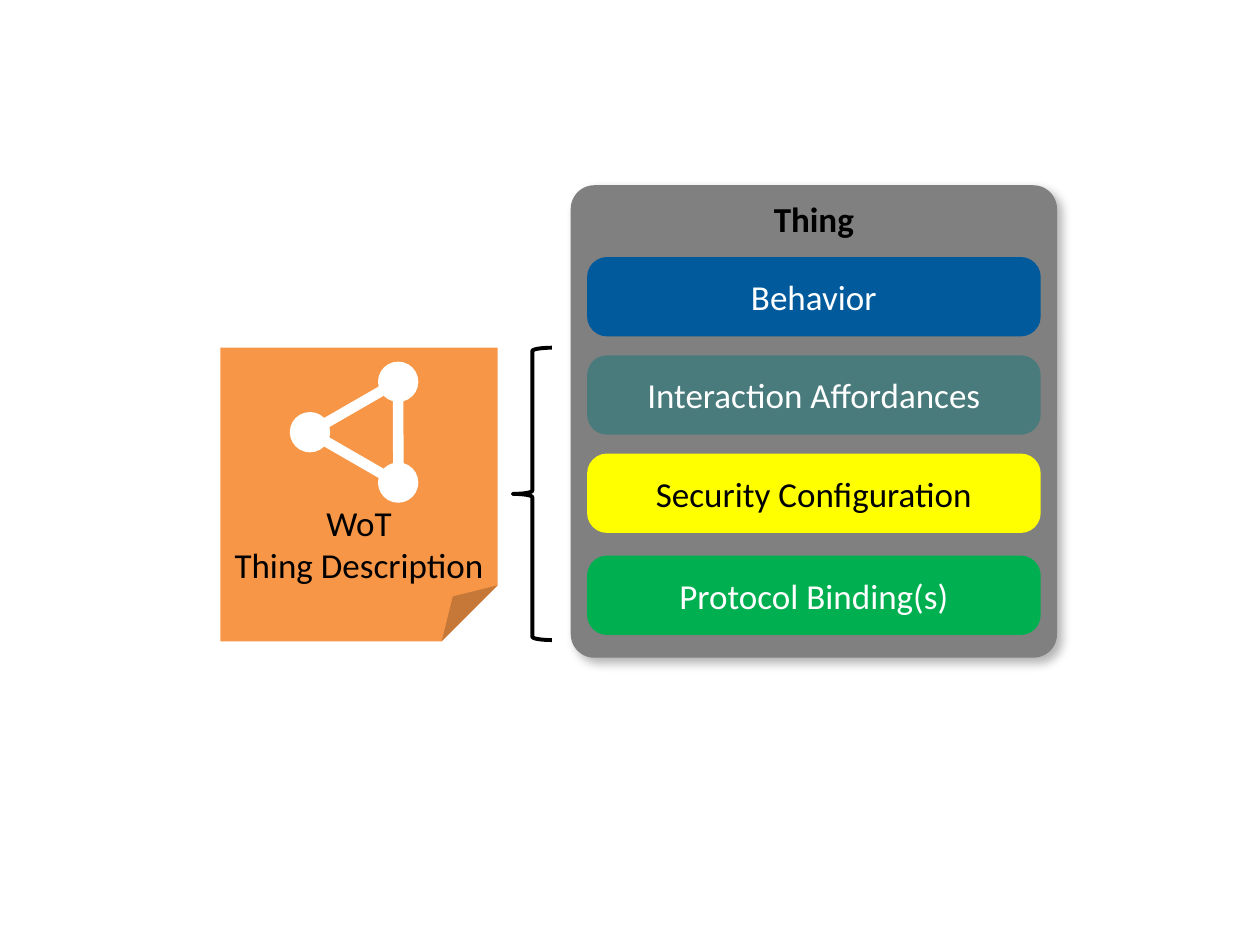
"""Build a slide relating a WoT Thing Description to the parts of a Thing."""
import lxml.etree
import pptx
import pptx.dml.color
import pptx.enum.shapes
import pptx.enum.text
import pptx.oxml
import pptx.oxml.ns
import pptx.util

RGBColor = pptx.dml.color.RGBColor
Inches = pptx.util.Inches
SHAPE = pptx.enum.shapes.MSO_SHAPE
ANCHOR = pptx.enum.text.MSO_ANCHOR
qn = pptx.oxml.ns.qn

BLACK = RGBColor(0x00, 0x00, 0x00)
WHITE = RGBColor(0xFF, 0xFF, 0xFF)
GRAY = RGBColor(0x80, 0x80, 0x80)
BLUE = RGBColor(0x00, 0x5A, 0x9C)
TEAL = RGBColor(0x4A, 0x7B, 0x7C)
YELLOW = RGBColor(0xFF, 0xFF, 0x00)
GREEN = RGBColor(0x00, 0xB0, 0x50)
ORANGE = RGBColor(0xF7, 0x96, 0x46)

THING = "Thing"
DESCRIPTION = ["WoT", "Thing Description"]
LAYERS = [
    ("Behavior", BLUE, WHITE, 2.04),
    ("Interaction Affordances", TEAL, WHITE, 2.82),
    ("Security Configuration", YELLOW, BLACK, 3.6),
    ("Protocol Binding(s)", GREEN, WHITE, 4.41),
]
PANEL = (4.53, 1.47, 3.86, 3.75)
LAYER_LEFT, LAYER_WIDTH, LAYER_HEIGHT = 4.66, 3.6, 0.63
NOTE = (1.75, 2.76, 2.2, 2.33)
TRIANGLE = (2.58, 2.98, 0.81, 0.7)
NODE_CENTERS = [(3.16, 3.03), (2.46, 3.43), (3.16, 3.83)]
NODE_SIZE = 0.32
BRACE = (4.07, 2.76, 0.31, 2.32)

SHADOW = (
    '<a:effectLst xmlns:a="http://schemas.openxmlformats.org/drawingml/2006/main">'
    '<a:outerShdw blurRad="76200" dist="50800" dir="2700000" algn="tl" rotWithShape="0">'
    '<a:srgbClr val="000000"><a:alpha val="30000"/></a:srgbClr>'
    "</a:outerShdw></a:effectLst>"
)


def add_shape(shapes, kind, box, fill=None, line=None, line_width=0):
    shape = shapes.add_shape(kind, *(Inches(length) for length in box))
    shape.shadow.inherit = False
    if fill is None:
        shape.fill.background()
    else:
        shape.fill.solid()
        shape.fill.fore_color.rgb = fill
    if line is None:
        shape.line.fill.background()
    else:
        shape.line.color.rgb = line
        shape.line.width = pptx.util.Pt(line_width)
    return shape


def write(shape, lines, color, anchor=ANCHOR.MIDDLE, bold=False, insets=(0.1, 0.05, 0.1, 0.05)):
    frame = shape.text_frame
    frame.word_wrap = False
    frame.vertical_anchor = anchor
    frame.margin_left, frame.margin_top, frame.margin_right, frame.margin_bottom = map(Inches, insets)
    paragraph = frame.paragraphs[0]
    paragraph.alignment = pptx.enum.text.PP_ALIGN.CENTER
    for index, line in enumerate(lines):
        if index:
            paragraph.add_line_break()
        run = paragraph.add_run()
        run.text = line
        run.font.name = "Calibri"
        run.font.size = pptx.util.Pt(20)
        run.font.bold = bold
        run.font.color.rgb = color


def add_thing(shapes):
    panel = add_shape(shapes, SHAPE.ROUNDED_RECTANGLE, PANEL, GRAY)
    panel.adjustments[0] = 0.05
    properties = panel.element.spPr
    properties.replace(properties.find(qn("a:effectLst")), pptx.oxml.parse_xml(SHADOW))
    write(panel, [THING], BLACK, ANCHOR.TOP, True, (0.1, 0.04, 0.1, 0.08))
    for label, fill, color, top in LAYERS:
        box = (LAYER_LEFT, top, LAYER_WIDTH, LAYER_HEIGHT)
        layer = add_shape(shapes, SHAPE.ROUNDED_RECTANGLE, box, fill)
        layer.adjustments[0] = 0.25
        write(layer, [label], color)


def add_description(shapes):
    note = add_shape(shapes, SHAPE.FOLDED_CORNER, NOTE, ORANGE)
    fold = note.element.spPr.find(qn("a:prstGeom")).find(qn("a:avLst"))
    lxml.etree.SubElement(fold, qn("a:gd"), name="adj", fmla="val 20200")
    write(note, DESCRIPTION, BLACK, ANCHOR.BOTTOM, insets=(0, 0, 0, 0))
    triangle = add_shape(shapes, SHAPE.ISOSCELES_TRIANGLE, TRIANGLE, line=WHITE, line_width=6)
    triangle.rotation = 30
    for x, y in NODE_CENTERS:
        box = (x - NODE_SIZE / 2, y - NODE_SIZE / 2, NODE_SIZE, NODE_SIZE)
        add_shape(shapes, SHAPE.OVAL, box, WHITE)


def main():
    presentation = pptx.Presentation()
    presentation.slide_width, presentation.slide_height = Inches(10), Inches(7.5)
    slide = presentation.slides.add_slide(presentation.slide_layouts[6])
    add_thing(slide.shapes)
    add_description(slide.shapes.add_group_shape().shapes)
    add_shape(slide.shapes, SHAPE.LEFT_BRACE, BRACE, line=BLACK, line_width=2.25)
    presentation.save("out.pptx")


if __name__ == "__main__":
    main()
